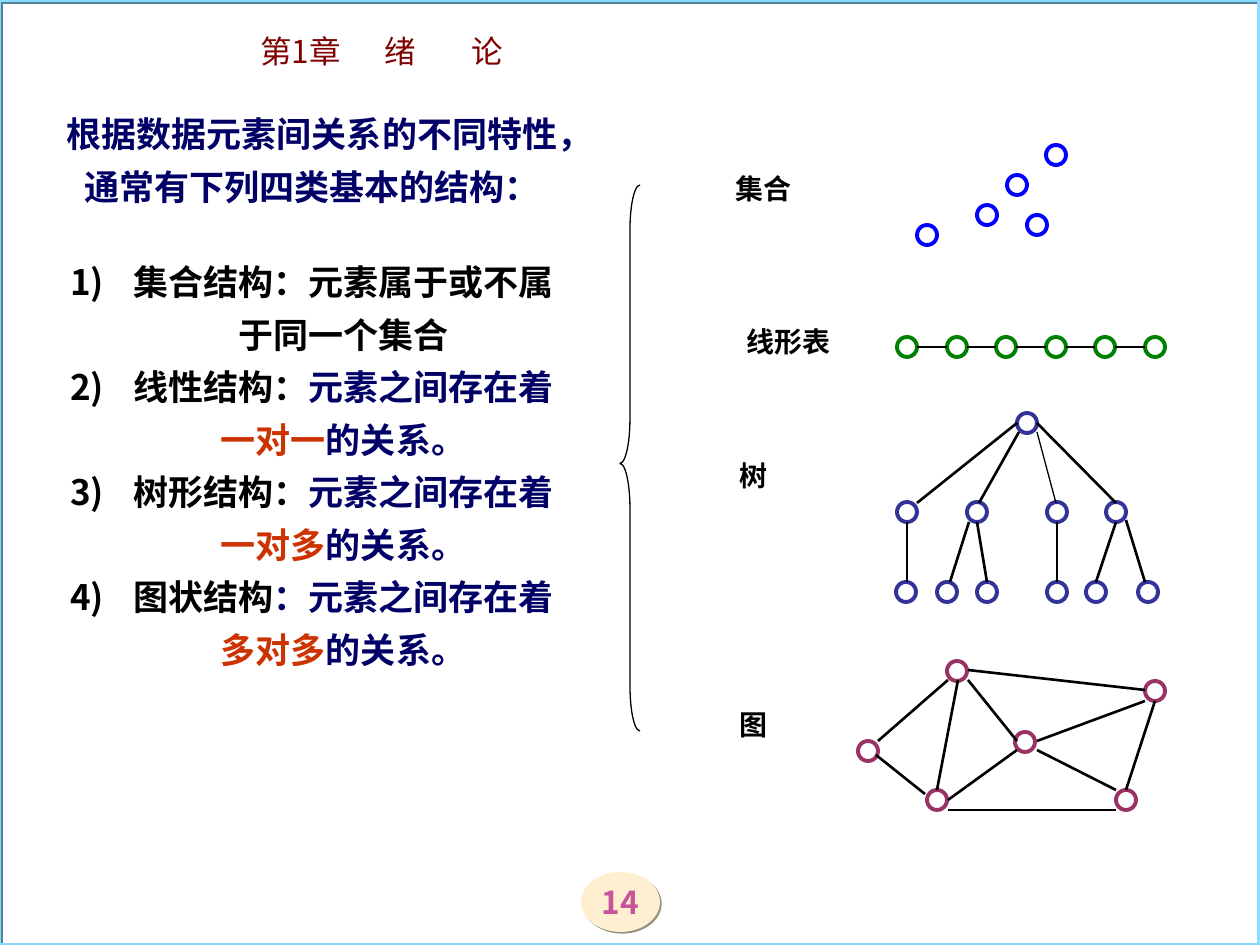
from dataclasses import dataclass
from itertools import pairwise
from lxml.etree import SubElement
from pptx import Presentation
from pptx.dml.color import RGBColor
from pptx.enum.shapes import MSO_CONNECTOR, MSO_SHAPE
from pptx.enum.text import MSO_ANCHOR, MSO_AUTO_SIZE, PP_ALIGN
from pptx.oxml.ns import qn
from pptx.util import Pt

SCALE = 914400 / 126
RADIUS = 10


def px(count):
    return round(count * SCALE)


@dataclass(frozen=True)
class Theme:
    black: str = "000000"
    navy: str = "000066"
    red: str = "CC3300"
    maroon: str = "800000"
    pink: str = "C75399"
    cream: str = "FFEFD1"
    tan: str = "998F7D"
    sky: str = "8ADBFF"
    steel: str = "538399"
    blue: str = "0000FF"
    green: str = "008000"
    indigo: str = "333399"
    plum: str = "993366"
    sans: str = "Noto Sans CJK SC"
    head: str = "Noto Sans CJK JP"
    serif: str = "Times New Roman"
    title: int = 18
    body: int = 20
    label: int = 16


class Board:
    def __init__(self, slide, theme):
        self.slide = slide
        self.theme = theme
        self.layer = slide.shapes

    def group(self):
        self.layer = self.slide.shapes.add_group_shape().shapes

    def ungroup(self):
        self.layer = self.slide.shapes

    def shape(self, kind, box, fill=None, line=None, width=2.25, shade=None):
        item = self.layer.add_shape(kind, *map(px, box))
        item.shadow.inherit = False
        if fill:
            item.fill.solid()
            item.fill.fore_color.rgb = RGBColor.from_string(fill)
        else:
            item.fill.background()
        if line:
            item.line.color.rgb = RGBColor.from_string(line)
            item.line.width = Pt(width)
        else:
            item.line.fill.background()
        if shade:
            effect = item._element.spPr.find(qn("a:effectLst"))
            outer = SubElement(effect, qn("a:outerShdw"), blurRad="0",
                               dist="17780", dir="2700000", algn="ctr", rotWithShape="0")
            SubElement(outer, qn("a:srgbClr"), val=shade)
        return item

    def nodes(self, spots, color):
        for x, y in spots:
            box = (x - RADIUS, y - RADIUS, 2 * RADIUS, 2 * RADIUS)
            self.shape(MSO_SHAPE.OVAL, box, line=color)

    def edge(self, ends, width=1.5):
        line = self.layer.add_connector(MSO_CONNECTOR.STRAIGHT, *map(px, ends))
        line.line.color.rgb = RGBColor.from_string(self.theme.black)
        line.line.width = Pt(width)
        SubElement(line._element.spPr, qn("a:effectLst"))

    def words(self, para, parts, size, bold=True, face=None, asian=None):
        style = {"size": Pt(size), "bold": bold, "name": face or self.theme.sans}
        for text, color in parts:
            run = para.add_run()
            run.text = text
            for key, value in style.items():
                setattr(run.font, key, value)
            run.font.color.rgb = RGBColor.from_string(color)
            SubElement(run.font._element, qn("a:ea"), typeface=asian or self.theme.sans)

    def frame(self, box):
        frame = self.layer.add_textbox(*map(px, box)).text_frame
        frame.word_wrap = True
        frame.auto_size = MSO_AUTO_SIZE.SHAPE_TO_FIT_TEXT
        return frame

    def title(self, text, box, stops):
        para = self.frame(box).paragraphs[0]
        tabs = SubElement(para._p.get_or_add_pPr(), qn("a:tabLst"))
        for stop in stops:
            SubElement(tabs, qn("a:tab"), pos=str(px(stop)), algn="l")
        self.words(para, [(text, self.theme.maroon)], self.theme.title,
                   bold=False, face=self.theme.head, asian=self.theme.head)

    def body(self, rows, box, count=False):
        frame = self.frame(box)
        for index, parts in enumerate(rows):
            para = frame.add_paragraph() if index else frame.paragraphs[0]
            if count:
                props = para._p.get_or_add_pPr()
                props.set("marL", str(px(63)))
                props.set("indent", str(px(-63)))
                tint = SubElement(props, qn("a:buClr"))
                SubElement(tint, qn("a:srgbClr"), val=self.theme.black)
                SubElement(props, qn("a:buAutoNum"), type="arabicParenR")
            for key, value in {"alignment": PP_ALIGN.CENTER, "line_spacing": 1.25}.items():
                setattr(para, key, value)
            self.words(para, parts, self.theme.body)

    def label(self, text, box):
        para = self.frame(box).paragraphs[0]
        para.alignment = PP_ALIGN.CENTER
        self.words(para, [(text, self.theme.black)], self.theme.label, face=self.theme.serif)

    def badge(self, text, box):
        item = self.shape(MSO_SHAPE.OVAL, box, fill=self.theme.cream, shade=self.theme.tan)
        frame = item.text_frame
        form = {"margin_left": 0, "margin_right": 0, "margin_top": 0,
                "margin_bottom": 0, "vertical_anchor": MSO_ANCHOR.MIDDLE}
        for key, value in form.items():
            setattr(frame, key, value)
        para = frame.paragraphs[0]
        para.alignment = PP_ALIGN.CENTER
        self.words(para, [(text, self.theme.pink)], self.theme.title)

    def brace(self, box):
        item = self.shape(MSO_SHAPE.LEFT_BRACE, box, line=self.theme.black, width=0.75)
        item.adjustments[0] = 2.25
        item.adjustments[1] = 0.51


def main():
    deck = Presentation()
    deck.slide_width, deck.slide_height = px(1260), px(945)
    theme = Theme()
    board = Board(deck.slides.add_slide(deck.slide_layouts[6]), theme)

    board.badge("14", (581, 872, 79, 60))
    board.shape(MSO_SHAPE.RECTANGLE, (-1, 0, 1260, 945), line=theme.sky, shade=theme.steel)
    board.title("第1章\t绪\t论", (248, 26, 726, 50), (124, 211))

    intro = "根据数据元素间关系的不同特性，通常有下列四类基本的结构："
    board.body([[(intro, theme.navy)]], (44, 96, 536, 118))
    rows = [[("集合结构：元素属于或不属于同一个集合", theme.black)]]
    for name, colon, ratio in (("线性结构", theme.black, "一对一"),
                               ("树形结构", theme.black, "一对多"),
                               ("图状结构", theme.navy, "多对多")):
        rows.append([(name, theme.black), ("：", colon), ("元素之间存在着", theme.navy),
                     (ratio, theme.red), ("的关系。", theme.navy)])
    board.body(rows, (44, 244, 536, 433), count=True)

    board.group()
    board.nodes([(1056, 155), (1017, 185), (1037, 225), (987, 215), (927, 235)], theme.blue)
    board.label("集合", (719, 165, 89, 47))

    board.group()
    chain = [(round(907 + 49.6 * step), 347) for step in range(6)]
    board.nodes(chain, theme.green)
    for (left, y), (right, _) in pairwise(chain):
        board.edge((left + RADIUS, y, right - RADIUS, y))
    board.label("线形表", (709, 318, 159, 47))

    board.group()
    board.nodes([(1027, 423)], theme.indigo)
    board.nodes([(x, 512) for x in (907, 977, 1057, 1116)], theme.indigo)
    board.nodes([(x, 592) for x in (906, 947, 987, 1057, 1096, 1148)], theme.indigo)
    for ends in ((1017, 423, 917, 503), (1019, 432, 979, 503), (1037, 423, 1116, 503),
                 (907, 522, 907, 582), (969, 522, 950, 582), (977, 522, 987, 582),
                 (1057, 522, 1057, 582), (1116, 522, 1096, 582), (1126, 520, 1145, 582)):
        board.edge(ends)
    board.edge((1037, 432, 1056, 503), width=0.75)
    board.label("树", (709, 452, 89, 47))

    board.group()
    board.nodes([(1155, 691), (1025, 742), (868, 751),
                 (957, 671), (1126, 800), (937, 800)], theme.plum)
    for ends in ((948, 680, 878, 741), (876, 755, 925, 794), (958, 680, 937, 790),
                 (968, 680, 1017, 741), (1017, 750, 948, 800), (968, 670, 1145, 690),
                 (1037, 741, 1145, 701), (1037, 750, 1116, 790), (948, 810, 1116, 810),
                 (1155, 701, 1126, 790)):
        board.edge(ends)
    board.label("图", (709, 701, 89, 47))

    board.ungroup()
    board.brace((620, 185, 20, 546))
    deck.save("out.pptx")


if __name__ == "__main__":
    main()
